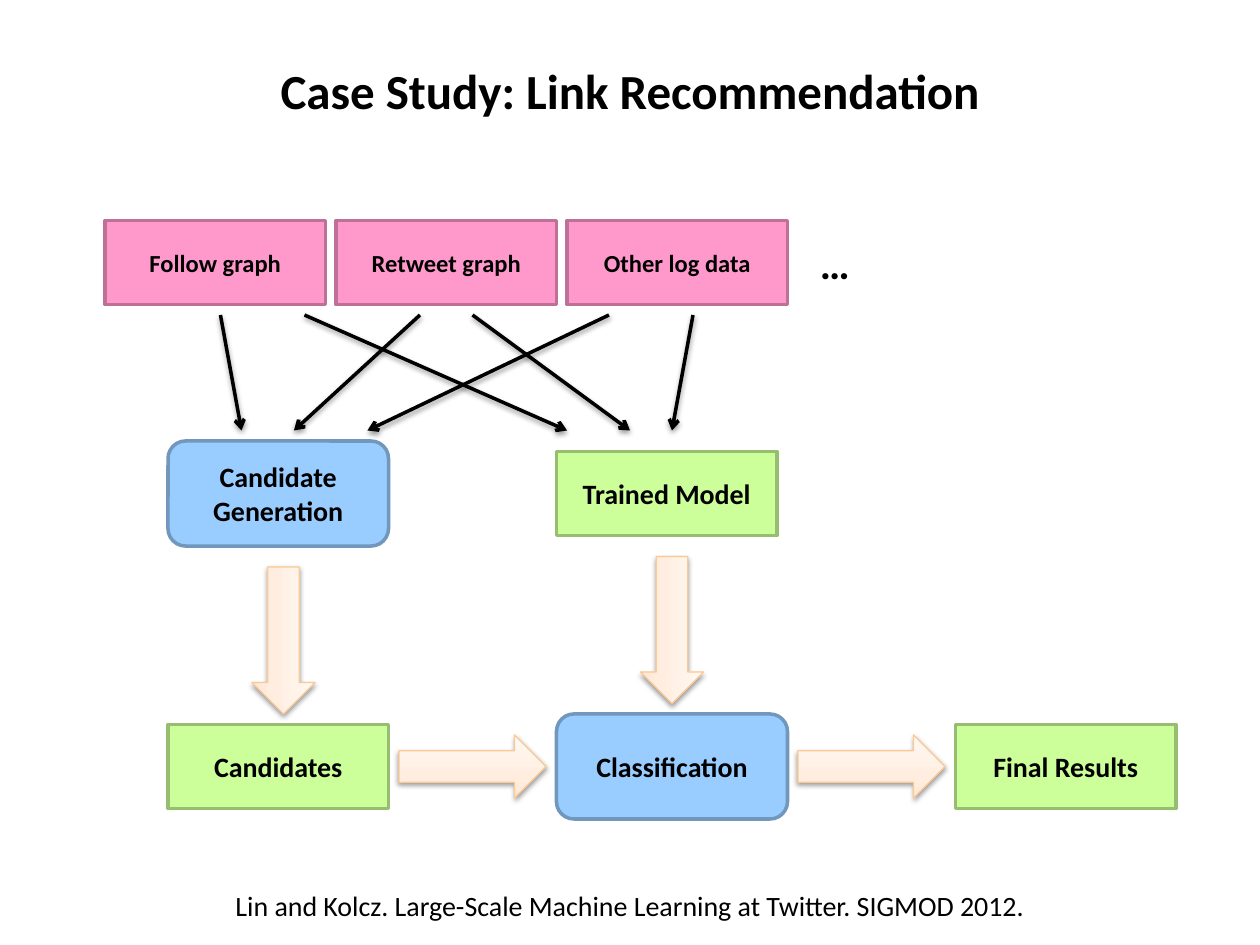
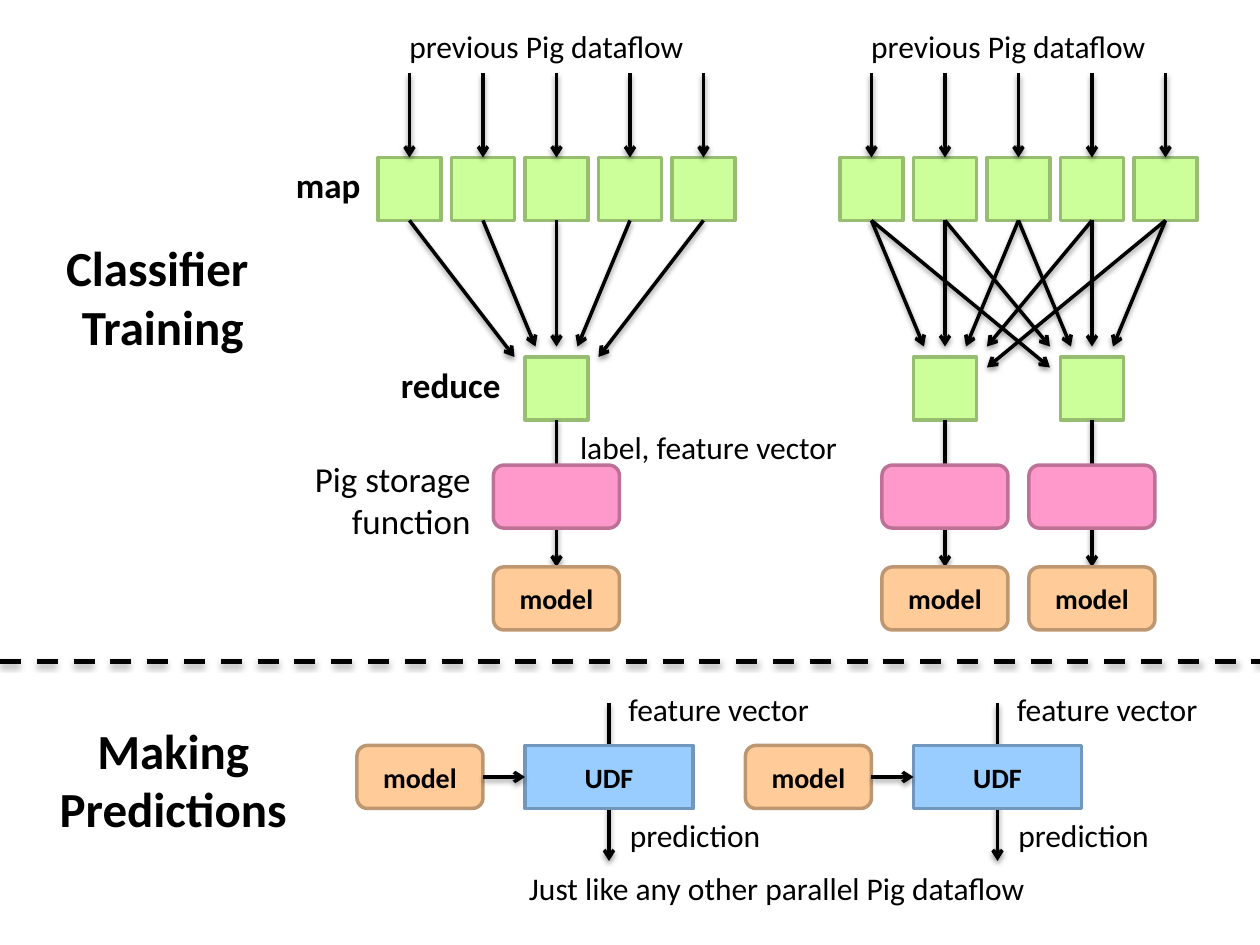
from lxml.etree import SubElement
from pptx import Presentation
from pptx.dml.color import RGBColor
from pptx.enum.dml import MSO_LINE
from pptx.enum.shapes import MSO_CONNECTOR, MSO_SHAPE
from pptx.enum.text import MSO_ANCHOR, MSO_AUTO_SIZE, PP_ALIGN
from pptx.oxml.ns import qn
from pptx.util import Cm, Pt

FONT = "Calibri"
COLORS = {
    "text": "000000",
    "blue": "99CCFF", "blue edge": "7197BD",
    "green": "CCFF99", "green edge": "97BD71",
    "pink": "FF99CC", "pink edge": "BD7197",
    "orange": "FFCC99", "orange edge": "BD9771",
    "flow edge": "FCC893",
}
FLOW_STOPS = [(0, "FFE7D4"), (35, "FFEEE0"), (100, "FFF8F3")]
RECT, ROUNDED = MSO_SHAPE.RECTANGLE, MSO_SHAPE.ROUNDED_RECTANGLE
LEFT, CENTER, RIGHT = PP_ALIGN.LEFT, PP_ALIGN.CENTER, PP_ALIGN.RIGHT


def grid(*steps):
    """Turn steps of the layout grid, 120 by 90 on a slide, into lengths."""
    return [Cm(step * 25.4 / 120) for step in steps]


def color(name):
    return RGBColor.from_string(COLORS[name])


def add_shadow(effects, opacity=38, distance=1.6):
    """Fill an effect list with a soft shadow that falls downwards."""
    shadow = SubElement(effects, qn("a:outerShdw"), blurRad=str(Pt(3.1)),
                        dist=str(Pt(distance)), dir="5400000", rotWithShape="0")
    black = SubElement(shadow, qn("a:srgbClr"), val=COLORS["text"])
    SubElement(black, qn("a:alpha"), val=str(opacity * 1000))


class Canvas:
    def __init__(self):
        self.deck = Presentation()
        self.deck.slide_width, self.deck.slide_height = grid(120, 90)
        self.page = None

    def new_page(self):
        self.page = self.deck.slides.add_slide(self.deck.slide_layouts[5])

    def add_lines(self, frame, text, size, bold, align):
        para = frame.paragraphs[0]
        para.alignment = align
        for number, line in enumerate(text.split("\n")):
            if number:
                para.add_line_break()
            span = para.add_run()
            span.text = line
            span.font.name = FONT
            span.font.size = Pt(size)
            span.font.bold = bold
            span.font.color.rgb = color("text")

    def title(self, text, left, top, width, height):
        holder = self.page.shapes.title
        holder.left, holder.top, holder.width, holder.height = grid(left, top, width, height)
        frame = holder.text_frame
        frame.auto_size = MSO_AUTO_SIZE.NONE
        frame.vertical_anchor = MSO_ANCHOR.TOP
        self.add_lines(frame, text, 28, True, CENTER)

    def text(self, text, left, top, width, height, size=18, bold=False, align=CENTER, wrap=False):
        frame = self.page.shapes.add_textbox(*grid(left, top, width, height)).text_frame
        frame.word_wrap = wrap
        frame.auto_size = MSO_AUTO_SIZE.SHAPE_TO_FIT_TEXT
        self.add_lines(frame, text, size, bold, align)

    def box(self, kind, tint, left, top, width, height, text="", size=16):
        box = self.page.shapes.add_shape(kind, *grid(left, top, width, height))
        box.shadow.inherit = False
        box.fill.solid()
        box.fill.fore_color.rgb = color(tint)
        box.line.color.rgb = color(tint + " edge")
        box.line.width = Pt(2)
        if text:
            box.text_frame.vertical_anchor = MSO_ANCHOR.MIDDLE
            self.add_lines(box.text_frame, text, size, True, CENTER)

    def flow_arrow(self, left, top, rotation=0):
        arrow = self.page.shapes.add_shape(MSO_SHAPE.RIGHT_ARROW, *grid(left, top, 14, 6))
        arrow.rotation = rotation
        arrow.fill.gradient()
        arrow.fill.gradient_angle = 90
        arrow.line.color.rgb = color("flow edge")
        arrow.line.width = Pt(0.75)
        arrow.shadow.inherit = False
        properties = arrow.element.spPr
        stops = properties.find(qn("a:gradFill")).find(qn("a:gsLst"))
        for stop in list(stops):
            stops.remove(stop)
        for position, tint in FLOW_STOPS:
            stop = SubElement(stops, qn("a:gs"), pos=str(position * 1000))
            SubElement(stop, qn("a:srgbClr"), val=tint)
        add_shadow(properties.find(qn("a:effectLst")))

    def line(self, start, end, width=2):
        line = self.page.shapes.add_connector(MSO_CONNECTOR.STRAIGHT, *grid(*start, *end))
        line.line.color.rgb = color("text")
        line.line.width = Pt(width)
        return line

    def arrow(self, start, end):
        properties = self.line(start, end).element.spPr
        SubElement(properties.find(qn("a:ln")), qn("a:tailEnd"), type="arrow")
        add_shadow(SubElement(properties, qn("a:effectLst")))

    def divider(self, top):
        line = self.line((0, top), (120, top), width=3)
        line.line.dash_style = MSO_LINE.DASH
        add_shadow(SubElement(line.element.spPr, qn("a:effectLst")), 35, 1.8)


def build_link_recommendation(canvas):
    canvas.new_page()
    canvas.title("Case Study: Link Recommendation", 0, 5.2, 120, 6.8)

    for number, source in enumerate(["Follow graph", "Retweet graph", "Other log data"]):
        canvas.box(RECT, "pink", 10 + 22 * number, 21, 21, 8, source, 14)
    canvas.text("…", 67, 22, 25, 6, size=24, bold=True, wrap=True)

    canvas.box(ROUNDED, "blue", 16, 42, 21, 10, "Candidate Generation")
    canvas.box(RECT, "green", 53, 43, 21, 8, "Trained Model")
    canvas.box(RECT, "green", 16, 69, 21, 8, "Candidates")
    canvas.box(ROUNDED, "blue", 53, 68, 22, 10, "Classification")
    canvas.box(RECT, "green", 91, 69, 21, 8, "Final Results")

    for left, top, rotation in [(38, 70, 0), (76, 70, 0), (20, 58, 90), (57, 57, 90)]:
        canvas.flow_arrow(left, top, rotation)
    for start, end in [(21, 23), (40, 28), (58, 35), (29, 54), (45, 60), (66, 64)]:
        canvas.arrow((start, 30), (end, 41))

    canvas.text("Lin and Kolcz. Large-Scale Machine Learning at Twitter. SIGMOD 2012.",
                0, 84, 120, 4.4, size=16, wrap=True)


def draw_mappers(canvas, left):
    """Draw five mappers with their input and return their centres."""
    canvas.text("previous Pig dataflow", left + 1.8, 2, 31.2, 4.8, align=LEFT)
    centers = [left + 3 + 7 * number for number in range(5)]
    for center in centers:
        canvas.box(RECT, "green", center - 3, 15, 6, 6)
        canvas.arrow((center, 7), (center, 15))
    return centers


def draw_reducer(canvas, center):
    """Draw a reducer, its storage function and the model it stores."""
    canvas.box(RECT, "green", center - 3, 34, 6, 6)
    canvas.arrow((center, 40), (center, 54))
    canvas.box(ROUNDED, "pink", center - 6, 44.3, 12, 6)
    canvas.box(ROUNDED, "orange", center - 6, 54, 12, 6, "model")


def draw_prediction(canvas, left):
    middle = left + 24
    canvas.arrow((middle, 67), (middle, 82))
    canvas.box(ROUNDED, "orange", left, 71, 12, 6, "model")
    canvas.box(RECT, "blue", left + 16, 71, 16, 6, "UDF")
    canvas.arrow((left + 12, 74), (left + 16, 74))
    canvas.text("feature vector", middle, 65.1, 20.9, 4.8)
    canvas.text("prediction", middle + 0.4, 77.1, 15.6, 4.8)


def build_training_and_predictions(canvas):
    canvas.new_page()
    canvas.title("Classifier \nTraining", 1, 22, 29, 12.5)
    canvas.text("Making\nPredictions", 1, 68, 31, 12.5, size=28, bold=True, wrap=True)
    canvas.divider(63)

    single_ends = [(49, 34), (51, 33), (53, 33), (55, 33), (57, 34)]
    for center, end in zip(draw_mappers(canvas, 36), single_ends):
        canvas.arrow((center, 21), end)

    shared_ends = [(88, 33), (90, 33), (92, 33), (94, 33), (94, 35)]
    axis = 97
    for center, (end, top) in zip(draw_mappers(canvas, 80), shared_ends):
        canvas.arrow((center, 21), (end, top))
        canvas.arrow((2 * axis - center, 21), (2 * axis - end, top))

    for center in (53, 90, 104):
        draw_reducer(canvas, center)

    canvas.text("map", 27, 15, 9.4, 5.3, size=20, bold=True, align=LEFT)
    canvas.text("reduce", 37, 34, 13.4, 5.3, size=20, bold=True, align=LEFT)
    canvas.text("label, feature vector", 53, 40.2, 29, 4.8)
    canvas.text("Pig storage function", 24, 43, 22, 9.2, size=20, align=RIGHT, wrap=True)

    for left in (34, 71):
        draw_prediction(canvas, left)
    canvas.text("Just like any other parallel Pig dataflow", 49.2, 82.2, 54.7, 4.8, align=LEFT)


def main():
    canvas = Canvas()
    build_link_recommendation(canvas)
    build_training_and_predictions(canvas)
    canvas.deck.save("out.pptx")


if __name__ == "__main__":
    main()
